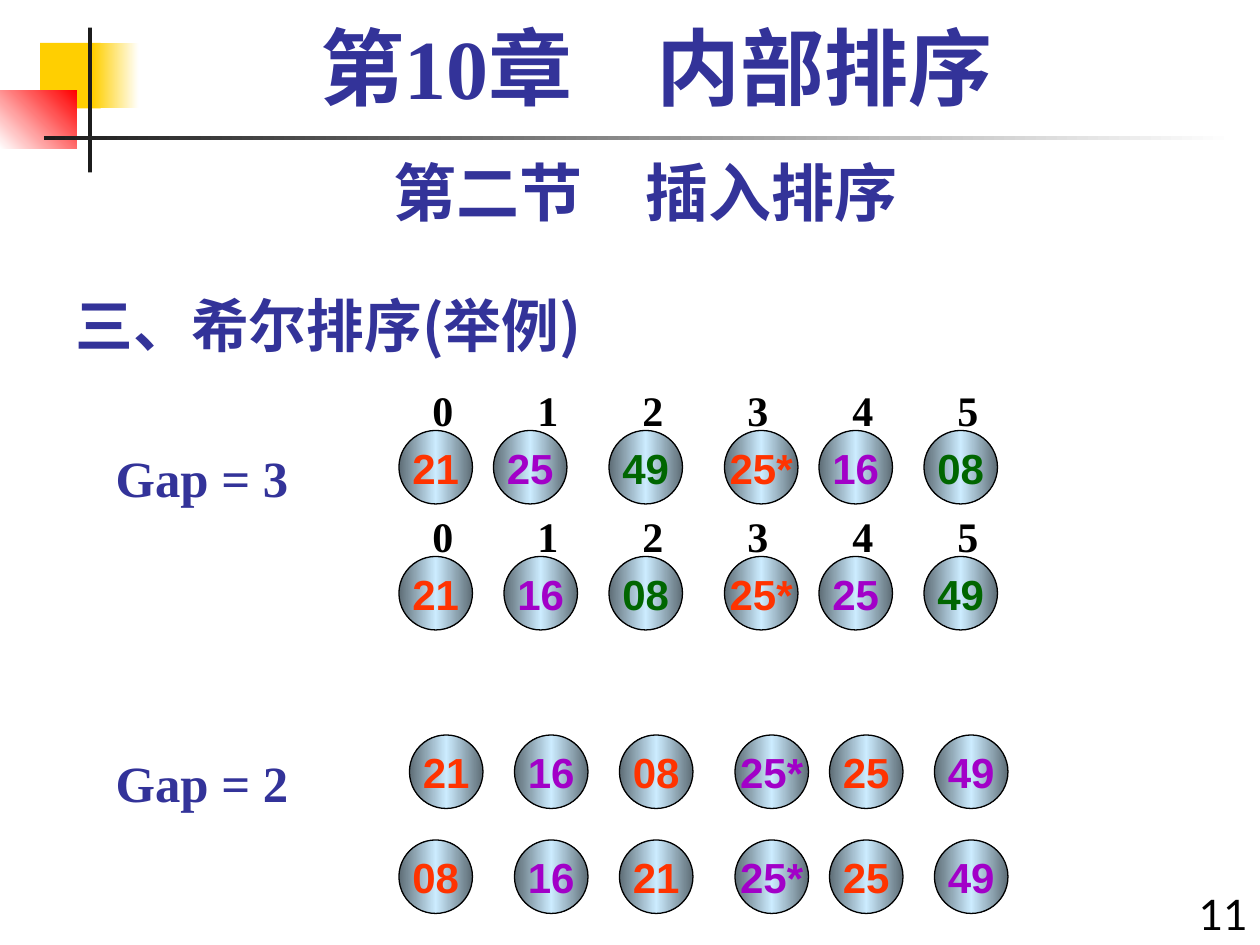
"""Build the Shell sort example slide: two gap passes, each shown before and after."""
from lxml import etree
from pptx import Presentation
from pptx.dml.color import RGBColor
from pptx.enum.shapes import MSO_SHAPE as SHAPE
from pptx.enum.text import MSO_ANCHOR as ANCHOR, MSO_AUTO_SIZE as AUTO, PP_ALIGN as ALIGN
from pptx.oxml.ns import qn
from pptx.util import Pt

C = {
    "navy": "333399", "black": "000000", "ink": "1C1C1C", "white": "FFFFFF",
    "yellow": "FFCF01", "red": "FF0000", "steel": "5E6D76", "ice": "CCECFF",
    "orange": "FF3300", "purple": "A200C8", "green": "006600",
}
CJK, SERIF, SANS, BODY = "Noto Sans CJK SC", "Times New Roman", "Arial", "Lato"


def paint(sp, colours, angle=0):
    sp.shadow.inherit = False
    if len(colours) == 1:
        sp.fill.solid()
        sp.fill.fore_color.rgb = RGBColor.from_string(C[colours[0]])
        return
    sp.fill.gradient()
    grad = sp._element.spPr.find(qn("a:gradFill"))
    stops = grad.find(qn("a:gsLst"))
    for stop in list(stops):
        stops.remove(stop)
    for i, colour in enumerate(colours):
        stop = etree.SubElement(stops, qn("a:gs"), pos=str(100000 * i // (len(colours) - 1)))
        etree.SubElement(stop, qn("a:srgbClr"), val=C[colour])
    grad.find(qn("a:lin")).set("ang", str(angle * 60000))


def write(sp, text, size, font, colour, align=ALIGN.LEFT, anchor=ANCHOR.TOP, wrap=True, bold=True):
    tf = sp.text_frame
    tf.auto_size, tf.word_wrap, tf.vertical_anchor = AUTO.NONE, wrap, anchor
    tf.margin_left = tf.margin_right = Pt(7.2)
    tf.margin_top = tf.margin_bottom = Pt(3.6)
    p = tf.paragraphs[0]
    p.alignment = align
    r = p.add_run()
    r.text = text
    r.font.size, r.font.name, r.font.bold = Pt(size), font, bold
    r.font.color.rgb = RGBColor.from_string(C[colour])
    r.font._element.find(qn("a:latin")).addnext(etree.Element(qn("a:ea"), typeface=CJK))
    return p


prs = Presentation()
prs.slide_width, prs.slide_height = Pt(720), Pt(540)
s = prs.slides.add_slide(prs.slide_layouts[5])

decorations = [
    (23, 24.5, 34.5, 37.5, ["yellow"], 0),
    (53.3, 24.5, 26, 37.5, ["yellow", "white"], 0),
    (0, 51.8, 44, 33.1, ["white", "red"], 315),
    (50.4, 15.8, 2.2, 82.8, ["ink"], 0),
    (25.2, 77.8, 680, 2.4, ["ink", "white"], 0),
]
for x, y, w, h, colours, angle in decorations:
    sp = s.shapes.add_shape(SHAPE.RECTANGLE, Pt(x), Pt(y), Pt(w), Pt(h))
    paint(sp, colours, angle)
    sp.line.fill.background()

title = s.shapes.title
title.left, title.top, title.width, title.height = Pt(36), Pt(156), Pt(450), Pt(53)
write(title, "三、希尔排序(举例)", 33, CJK, "navy", anchor=ANCHOR.BOTTOM)

page = s.shapes.add_textbox(Pt(672), Pt(504), Pt(48), Pt(42))
write(page, "11", 24, BODY, "black", ALIGN.RIGHT, bold=False)
section = s.shapes.add_textbox(Pt(36), Pt(84), Pt(666), Pt(50.4))
write(section, "第二节\u3000插入排序".replace("\u3000", "　"), 36, BODY, "navy", ALIGN.CENTER)
chapter = s.shapes.add_textbox(Pt(48), Pt(12), Pt(654), Pt(60))
write(chapter, "第10章　内部排序", 48, SERIF, "navy", ALIGN.CENTER).line_spacing = 0.9

DIAMETER, PITCH = 42, 60
passes = [
    ("Gap = 3", 252, ["orange", "purple", "green"], [216, 288], [
        (246, [228, 282, 348, 414, 468, 528], "21 25 49 25* 16 08"),
        (318, [228, 288, 348, 414, 468, 528], "21 16 08 25* 25 49"),
    ]),
    ("Gap = 2", 426, ["orange", "purple"], [], [
        (420, [234, 294, 354, 420, 474, 534], "21 16 08 25* 25 49"),
        (480, [228, 294, 354, 420, 474, 534], "08 16 21 25* 25 49"),
    ]),
]
for label, label_y, colours, index_ys, rows in passes:
    group = s.shapes.add_group_shape().shapes
    gap = group.add_textbox(Pt(59), Pt(label_y), Pt(114), Pt(42))
    write(gap, label, 29, SERIF, "navy", wrap=False)
    for y in index_ys:
        index = group.add_textbox(Pt(240), Pt(y), Pt(327), Pt(36))
        p = write(index, "\t".join("012345"), 24, SERIF, "black")
        tabs = etree.SubElement(p._p.get_or_add_pPr(), qn("a:tabLst"))
        for i in range(1, 6):
            etree.SubElement(tabs, qn("a:tab"), pos=str(Pt(i * PITCH)), algn="l")
    for y, xs, keys in rows:
        for i, (x, key) in enumerate(zip(xs, keys.split())):
            sp = group.add_shape(SHAPE.OVAL, Pt(x), Pt(y), Pt(DIAMETER), Pt(DIAMETER))
            paint(sp, ["steel", "ice", "steel"])
            sp.line.color.rgb = RGBColor.from_string(C["black"])
            sp.line.width = Pt(0.75)
            write(sp, key, 24, SANS, colours[i % len(colours)], ALIGN.CENTER, ANCHOR.MIDDLE, False)

prs.save("out.pptx")
